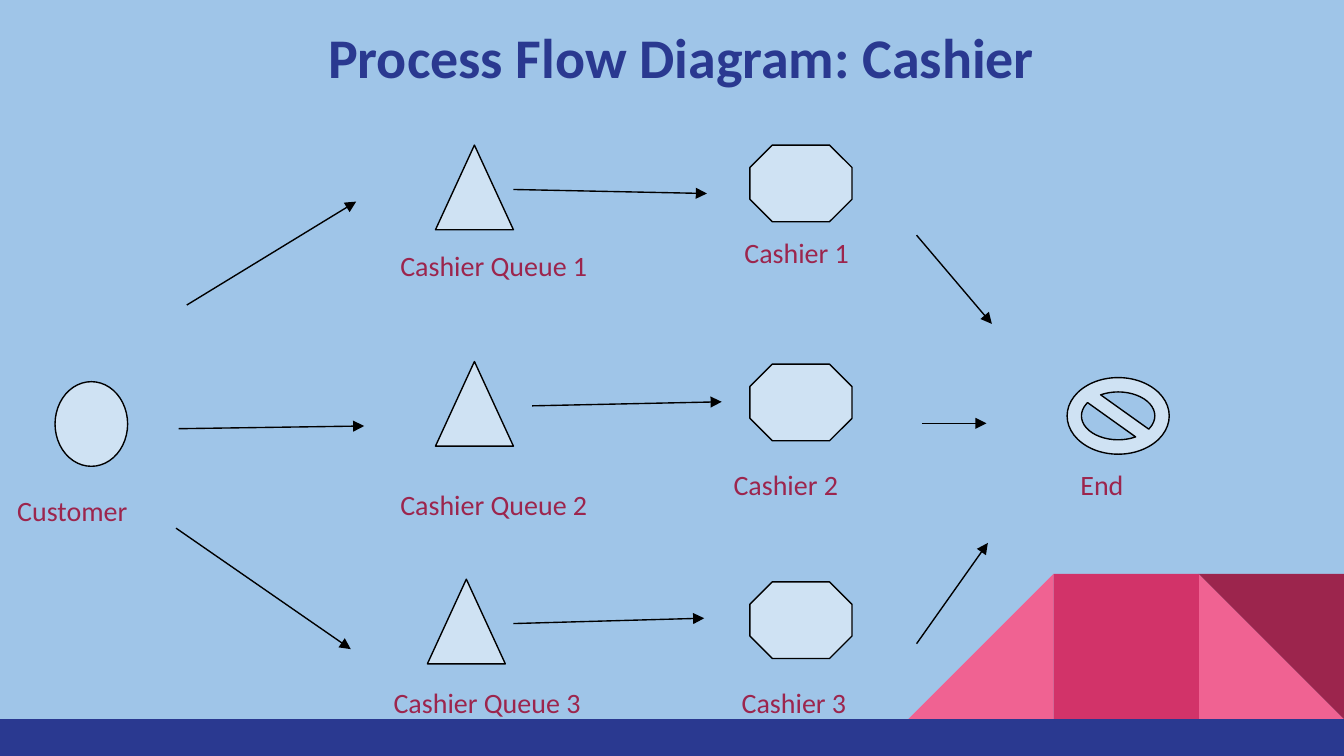
from lxml import etree
from pptx import Presentation
from pptx.dml.color import RGBColor
from pptx.enum.shapes import MSO_CONNECTOR, MSO_SHAPE
from pptx.enum.text import MSO_ANCHOR, MSO_AUTO_SIZE, PP_ALIGN
from pptx.oxml.ns import qn
from pptx.util import Inches, Pt

STRAIGHT = MSO_CONNECTOR.STRAIGHT
RECTANGLE, CORNER = MSO_SHAPE.RECTANGLE, MSO_SHAPE.RIGHT_TRIANGLE
SOURCE, QUEUE = MSO_SHAPE.OVAL, MSO_SHAPE.ISOSCELES_TRIANGLE
SERVER, SINK = MSO_SHAPE.OCTAGON, MSO_SHAPE.NO_SYMBOL
TOP, LEFT, CENTER = MSO_ANCHOR.TOP, PP_ALIGN.LEFT, PP_ALIGN.CENTER
NO_AUTOFIT = MSO_AUTO_SIZE.NONE

THEME = {
    "font": "Calibri", "title size": 30, "label size": 15, "line width": 0.75,
    "background": "9FC5E8", "navy": "2A3990", "node": "CFE2F3", "line": "000000",
    "light pink": "F06292", "pink": "D23369", "wine": "9C254D",
}
WIDTH, HEIGHT = 10, 5.625

# Content
TITLE = "Process Flow Diagram: Cashier"
NODE_SIZES = {SOURCE: (0.54, 0.63), QUEUE: (0.58, 0.63),
              SERVER: (0.76, 0.57), SINK: (0.76, 0.57)}
# Kind, left and top of the node; label and the box that holds it
NODES = [
    (SOURCE, 0.41, 2.84, "Customer", (0.03, 3.57, 1.16, 0.54)),
    (QUEUE, 3.24, 1.08, "Cashier Queue 1", (2.88, 1.75, 1.79, 0.41)),
    (QUEUE, 3.24, 2.69, "Cashier Queue 2", (2.88, 3.53, 1.79, 0.46)),
    (QUEUE, 3.18, 4.31, "Cashier Queue 3", (2.83, 5, 1.79, 0.36)),
    (SERVER, 5.58, 1.08, "Cashier 1", (5.44, 1.65, 1.04, 0.46)),
    (SERVER, 5.58, 2.71, "Cashier 2", (5.36, 3.38, 1.04, 0.46)),
    (SERVER, 5.58, 4.33, "Cashier 3", (5.42, 5, 1.16, 0.41)),
    (SINK, 7.94, 2.81, "End", (7.94, 3.38, 0.71, 0.46)),
]
ARROWS = [
    # Customer to queues
    (1.39, 2.27, 2.65, 1.5), (1.33, 3.19, 2.71, 3.17), (1.31, 3.93, 2.61, 4.83),
    # Queues to cashiers
    (3.82, 1.41, 5.26, 1.44), (3.96, 3.02, 5.37, 2.99), (3.82, 4.64, 5.24, 4.6),
    # Cashiers to end
    (6.82, 1.75, 7.38, 2.41), (6.86, 3.15, 7.34, 3.15), (6.82, 4.79, 7.35, 4.04),
]


def color(name):
    return RGBColor.from_string(THEME[name])


def add_shape(slide, kind, box, fill, outlined=False):
    shape = slide.shapes.add_shape(kind, *map(Inches, box))
    shape.shadow.inherit = False
    shape.fill.solid()
    shape.fill.fore_color.rgb = color(fill)
    if outlined:
        shape.line.color.rgb = color("line")
        shape.line.width = Pt(THEME["line width"])
    else:
        shape.line.fill.background()
    return shape


def write(shape, text, size, ink, align=LEFT, bold=False):
    frame = shape.text_frame
    frame.word_wrap = True
    frame.auto_size = NO_AUTOFIT
    frame.vertical_anchor = TOP
    frame.margin_left = frame.margin_right = Inches(0.1)
    frame.margin_top = frame.margin_bottom = Inches(0.1)
    para = frame.paragraphs[0]
    para.alignment = align
    span = para.add_run()
    span.text = text
    span.font.name = THEME["font"]
    span.font.size = Pt(THEME[size])
    span.font.bold = bold
    span.font.color.rgb = color(ink)


def add_arrow(slide, ends):
    arrow = slide.shapes.add_connector(STRAIGHT, *map(Inches, ends))
    arrow.line.color.rgb = color("line")
    arrow.line.width = Pt(THEME["line width"])
    properties = arrow.element.spPr
    head = etree.SubElement(properties.find(qn("a:ln")), qn("a:tailEnd"))
    head.set("type", "triangle")
    etree.SubElement(properties, qn("a:effectLst"))


def add_decoration(slide):
    side, bar = 1.08, 0.275
    top = HEIGHT - bar - side
    left, middle, right = (WIDTH - side * count for count in (3, 2, 1))
    add_shape(slide, CORNER, (right, top, side, side), "light pink")
    slope = add_shape(slide, CORNER, (left, top, side, side), "light pink")
    slope.element.spPr.xfrm.set("flipH", "1")
    add_shape(slide, RECTANGLE, (middle, top, side, side), "pink")
    add_shape(slide, CORNER, (right, top, side, side), "wine").rotation = 180
    add_shape(slide, RECTANGLE, (0, HEIGHT - bar, WIDTH, bar), "navy")


def main():
    deck = Presentation()
    deck.slide_width, deck.slide_height = Inches(WIDTH), Inches(HEIGHT)
    page = deck.slides.add_slide(deck.slide_layouts[5])
    page.background.fill.solid()
    page.background.fill.fore_color.rgb = color("background")
    add_decoration(page)

    # Title
    title = page.shapes.title
    title.left, title.top = Inches(0.41), Inches(0.07)
    title.width, title.height = Inches(9.32), Inches(0.63)
    write(title, TITLE, "title size", "navy", CENTER, bold=True)

    # Nodes with their labels, then the flow between them
    for kind, left, top, label, label_box in NODES:
        add_shape(page, kind, (left, top, *NODE_SIZES[kind]), "node", outlined=True)
        box = page.shapes.add_textbox(*map(Inches, label_box))
        write(box, label, "label size", "wine")
    for ends in ARROWS:
        add_arrow(page, ends)

    deck.save("out.pptx")


if __name__ == "__main__":
    main()
